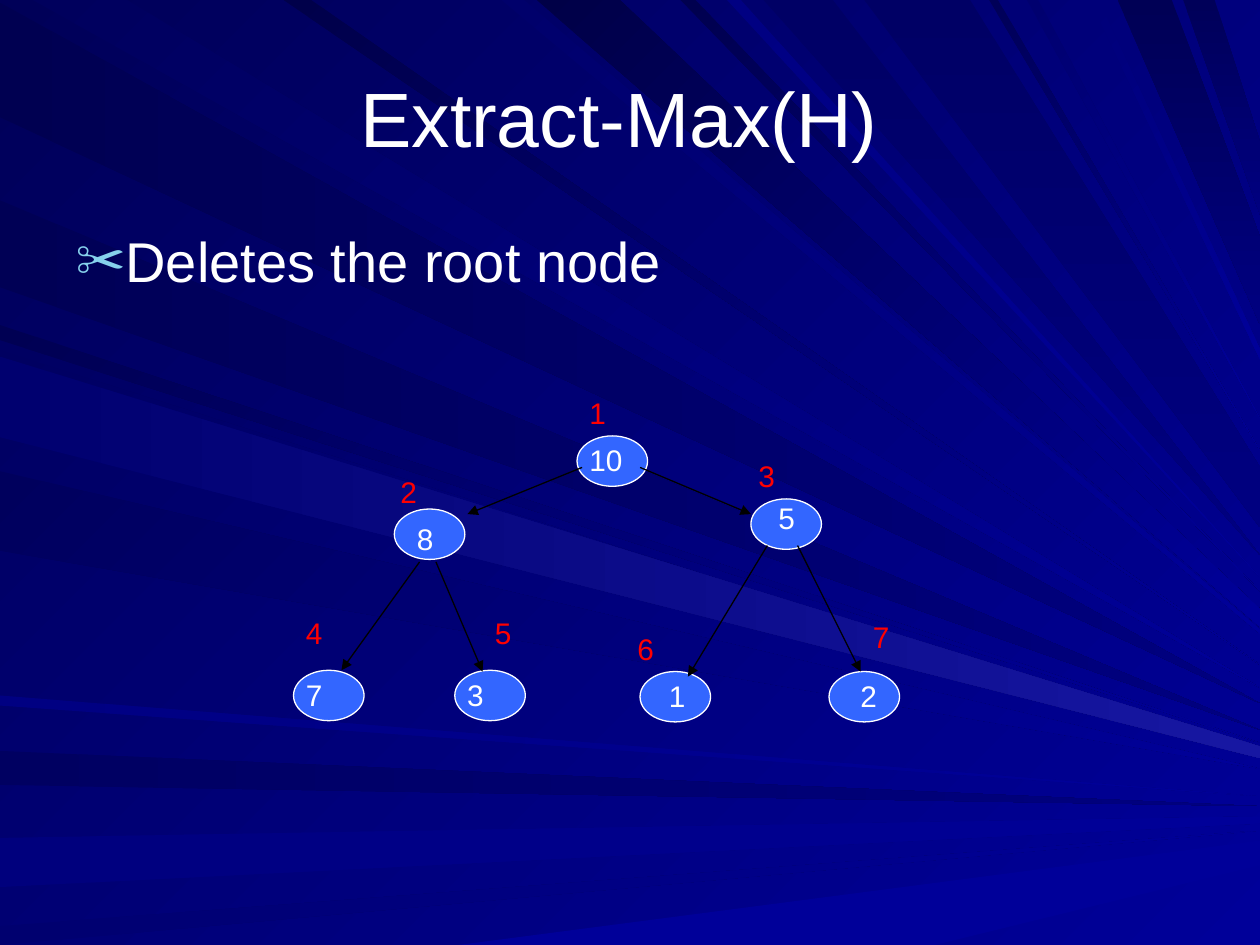
"""Build a slide showing a binary max-heap before its root is extracted."""
from dataclasses import dataclass

from lxml.etree import SubElement
from pptx import Presentation
from pptx.dml.color import RGBColor
from pptx.enum.shapes import MSO_CONNECTOR, MSO_SHAPE
from pptx.enum.text import MSO_ANCHOR, MSO_AUTO_SIZE, PP_ALIGN
from pptx.oxml.ns import qn
from pptx.util import Inches, Pt


@dataclass(frozen=True)
class Theme:
    font: str = "Arial"
    title_size: int = 44
    body_size: int = 32
    label_size: int = 17
    text: str = "FFFFFF"
    index: str = "FF0000"
    node: str = "3366FF"
    edge: str = "000000"
    bullet: str = "86D1EC"
    backdrop: tuple = ("000058", "000099", 45)
    line_width: float = 0.75


THEME = Theme()
WIDTH, HEIGHT = 10, 7.5
FOCUS = (11.7, 6.45)
NODE_SIZE = (0.56, 0.4)
LABEL_SIZE = (0.56, 0.39)
TITLE = "Extract-Max(H)"
BULLET = "Deletes the root node"

NODES = [
    {"value": "10", "at": (4.58, 3.46), "index": (0, -0.38)},
    {"value": "8", "at": (3.13, 4.04), "label": (0.08, 0.04), "index": (-0.05, -0.33)},
    {"value": "5", "at": (5.96, 3.96), "label": (0.12, -0.04), "index": (-0.04, -0.38)},
    {"value": "7", "at": (2.33, 5.32), "index": (0, -0.49)},
    {"value": "3", "at": (3.61, 5.32), "index": (0.22, -0.49)},
    {"value": "1", "at": (5.08, 5.33), "label": (0.13, 0), "index": (-0.12, -0.37)},
    {"value": "2", "at": (6.58, 5.33), "label": (0.15, 0), "index": (0.25, -0.47)},
]
EDGES = [
    ((4.62, 3.71), (3.71, 4.08)),
    ((5.08, 3.71), (5.96, 4.08)),
    ((3.33, 4.46), (2.71, 5.32)),
    ((3.46, 4.46), (3.83, 5.33)),
    ((6.09, 4.33), (5.46, 5.37)),
    ((6.33, 4.33), (6.83, 5.33)),
]
RAY_STYLES = {
    "dim": ("000080", 0),
    "bright": ("000099", 0),
    "slanted": ("000099", 45),
    "falling": ("000080", 90),
    "glowing": ("1717A2", 0),
}
RAYS = [
    ("left", 0.02, 0.93, "000051", "dim", "tip"),
    ("top", 0.26, 1.01, "00005D", "slanted", "tip"),
    ("left", 5.96, 6.23, "000061", "dim", "tip"),
    ("left", 6.65, 7.04, "00007D", "bright", "band"),
    ("left", 7.35, 7.5, "00006F", "bright", "tip"),
    ("bottom", 3.64, 7.42, "000099", "bright", "band"),
    ("left", 2.58, 2.7, "000053", "slanted", "tip"),
    ("left", 1.59, 2.28, "000055", "dim", "tip"),
    ("top", 3.98, 4.16, "00006B", "slanted", "band"),
    ("top", 4.26, 4.92, "000047", "slanted", "band"),
    ("top", 5.4, 5.52, "00004F", "slanted", "tip"),
    ("top", 6.06, 6.61, "000065", "falling", "tip"),
    ("top", 8.87, 9.3, "000055", "falling", "band"),
    ("top", 9.39, 9.64, "000059", "falling", "band"),
    ("left", 2.78, 3.42, "000061", "slanted", "tip"),
    ("left", 3.74, 4.37, "00005D", "slanted", "tip"),
    ("left", 5.52, 5.6, "000082", "bright", "tip"),
    ("top", 2.25, 2.47, "00004A", "slanted", "tip"),
    ("top", 5.77, 5.88, "000082", "slanted", "tip"),
    ("top", 6.86, 7.7, "000065", "falling", "band"),
    ("top", 7.85, 7.92, "000058", "slanted", "tip"),
    ("top", 8.15, 8.24, "00006F", "slanted", "tip"),
    ("top", 8.65, 8.72, "000079", "slanted", "band"),
    ("left", 2.83, 3.47, "00006F", "glowing", "band"),
]


def paint(fill, start, end, angle):
    if start == end:
        fill.solid()
        fill.fore_color.rgb = RGBColor.from_string(start)
        return
    fill.gradient()
    fill.gradient_angle = -angle % 360
    for stop, color in zip(fill.gradient_stops, (start, end)):
        stop.color.rgb = RGBColor.from_string(color)


def style_font(font, size, color):
    font.name = THEME.font
    font.size = Pt(size)
    font.color.rgb = RGBColor.from_string(color)


def style_line(line, color):
    line.color.rgb = RGBColor.from_string(color)
    line.width = Pt(THEME.line_width)


def shift(position, offset):
    return tuple(start + step for start, step in zip(position, offset))


def edge_point(side, distance):
    return {"left": (0, distance), "top": (distance, 0), "bottom": (distance, HEIGHT)}[side]


def toward_focus(point):
    """Return where the line from a point to the focus meets the right edge."""
    x, y = point
    return WIDTH, y + (FOCUS[1] - y) * (WIDTH - x) / (FOCUS[0] - x)


def add_ray(slide, side, near, far, color, style, ending):
    first, last = edge_point(side, near), edge_point(side, far)
    if ending == "band":
        ends = [toward_focus(last), toward_focus(first)]
    else:
        ends = [toward_focus(edge_point(side, (near + far) / 2))]
    outline = [tuple(map(Inches, point)) for point in (first, last, *ends)]
    builder = slide.shapes.build_freeform(*outline[0])
    builder.add_line_segments(outline[1:], close=True)
    ray = builder.convert_to_shape()
    ray.shadow.inherit = False
    paint(ray.fill, color, *RAY_STYLES[style])
    ray.line.fill.background()


def fill_placeholder(shape, box, text, size, anchor):
    shape.left, shape.top, shape.width, shape.height = map(Inches, box)
    frame = shape.text_frame
    frame.text = text
    frame.auto_size = MSO_AUTO_SIZE.NONE
    frame.vertical_anchor = anchor
    paragraph = frame.paragraphs[0]
    paragraph.space_before = Pt(0)
    style_font(paragraph.runs[0].font, size, THEME.text)
    return paragraph


def set_bullet(paragraph, symbol):
    properties = paragraph._p.get_or_add_pPr()
    properties.set("marL", str(Inches(0.38)))
    properties.set("indent", str(Inches(-0.38)))
    color = SubElement(properties, qn("a:buClr"))
    SubElement(color, qn("a:srgbClr"), val=THEME.bullet)
    SubElement(properties, qn("a:buSzPct"), val="90000")
    SubElement(properties, qn("a:buChar"), char=symbol)


def add_node(slide, position):
    node = slide.shapes.add_shape(MSO_SHAPE.OVAL, *map(Inches, position + NODE_SIZE))
    node.shadow.inherit = False
    paint(node.fill, THEME.node, THEME.node, 0)
    style_line(node.line, THEME.text)


def add_label(slide, position, text, color):
    frame = slide.shapes.add_textbox(*map(Inches, position + LABEL_SIZE)).text_frame
    frame.word_wrap = True
    frame.text = text
    style_font(frame.paragraphs[0].runs[0].font, THEME.label_size, color)


def add_edge(slide, start, end):
    edge = slide.shapes.add_connector(MSO_CONNECTOR.STRAIGHT, *map(Inches, start + end))
    style_line(edge.line, THEME.edge)
    SubElement(edge.line._get_or_add_ln(), qn("a:tailEnd"), type="triangle")
    SubElement(edge._element.spPr, qn("a:effectLst"))


def main():
    presentation = Presentation()
    presentation.slide_width, presentation.slide_height = Inches(WIDTH), Inches(HEIGHT)
    slide = presentation.slides.add_slide(presentation.slide_layouts[1])
    paint(slide.background.fill, *THEME.backdrop)
    title, body = slide.placeholders
    for ray in RAYS:
        add_ray(slide, *ray)
    slide.shapes._spTree.extend([title._element, body._element])

    heading = fill_placeholder(title, (0.5, 0.3, 9, 1.25), TITLE, THEME.title_size, MSO_ANCHOR.MIDDLE)
    heading.alignment = PP_ALIGN.CENTER
    title.text_frame.margin_right = Inches(0.27)
    item = fill_placeholder(body, (0.5, 1.75, 9, 4.95), BULLET, THEME.body_size, MSO_ANCHOR.TOP)
    set_bullet(item, "✂")

    for number, node in enumerate(NODES, 1):
        add_node(slide, node["at"])
        add_label(slide, shift(node["at"], node.get("label", (0, 0))), node["value"], THEME.text)
        add_label(slide, shift(node["at"], node["index"]), str(number), THEME.index)
    for edge in EDGES:
        add_edge(slide, *edge)
    presentation.save("out.pptx")


if __name__ == "__main__":
    main()
